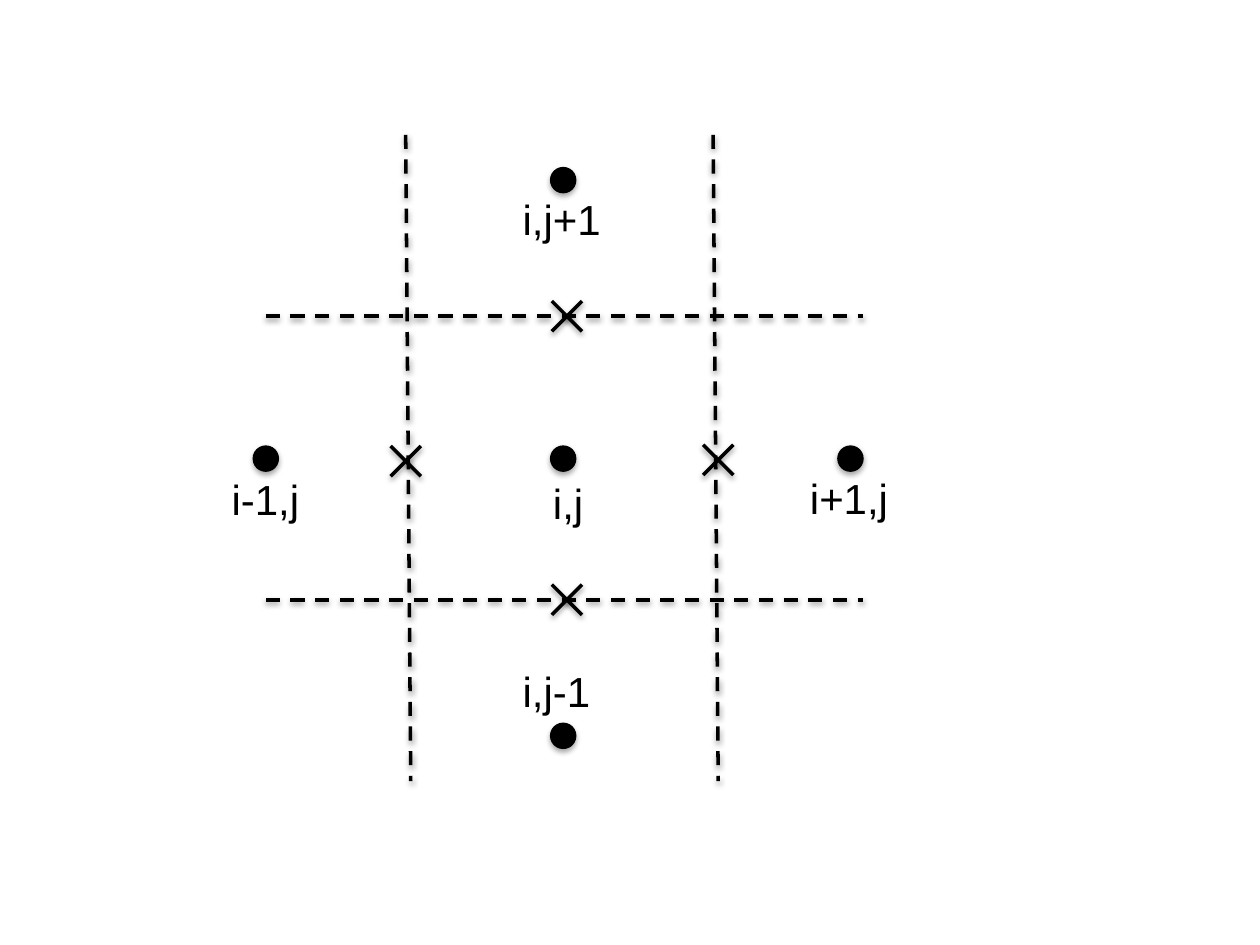
from typing import NamedTuple

from lxml.etree import SubElement
from pptx import Presentation
from pptx.dml.color import RGBColor
from pptx.enum.dml import MSO_LINE_DASH_STYLE as Dash
from pptx.enum.shapes import MSO_CONNECTOR as Connector, MSO_SHAPE as Shape
from pptx.enum.text import MSO_AUTO_SIZE as AutoSize, MSO_ANCHOR as Anchor
from pptx.oxml.ns import qn
from pptx.util import Emu, Inches, Pt

BLACK = RGBColor(0, 0, 0)
FONT = "Arial"
WIDTH, HEIGHT = 10, 7.5

# Grid of nodes: columns i-1, i, i+1 and rows j+1, j, j-1
WEST, CENTRE, EAST = 2.11, 4.47, 6.75
NORTH, MIDDLE, SOUTH = 1.43, 3.64, 5.84
# Cell faces between the nodes
LEFT_FACE, RIGHT_FACE = 3.22, 5.66
TOP_FACE, BOTTOM_FACE = 2.51, 4.76
FACE_TOP, FACE_BOTTOM, FACE_LEAN = 1.07, 6.2, 0.04
FACE_START, FACE_END = 2.11, 6.85
DOT = 0.2
CROSS = 0.24
LABEL_HEIGHT = 0.5


class Point(NamedTuple):
    """A place on the slide, in inches."""
    x: float
    y: float


class Node(NamedTuple):
    """A grid node with its label and the label's box."""
    centre: Point
    text: str
    label: Point
    label_width: float


class Face(NamedTuple):
    """A dashed cell face."""
    start: Point
    end: Point


FACES = [
    *(Face(Point(x, FACE_TOP), Point(x + FACE_LEAN, FACE_BOTTOM))
      for x in (LEFT_FACE, RIGHT_FACE)),
    *(Face(Point(FACE_START, y), Point(FACE_END, y))
      for y in (TOP_FACE, BOTTOM_FACE)),
]
NODES = [
    Node(Point(CENTRE, MIDDLE), "i,j", Point(4.29, 3.74), 0.45),
    Node(Point(EAST, MIDDLE), "i+1,j", Point(6.33, 3.7), 0.83),
    Node(Point(WEST, MIDDLE), "i-1,j", Point(1.74, 3.71), 0.74),
    Node(Point(CENTRE, NORTH), "i,j+1", Point(4.05, 1.49), 0.83),
    Node(Point(CENTRE, SOUTH), "i,j-1", Point(4.05, 5.23), 0.74),
]
CROSSES = [Point(5.7, 3.65), Point(4.5, BOTTOM_FACE),
           Point(3.22, 3.66), Point(4.5, TOP_FACE)]


def add_shadow(shape, distance: int, opacity: int) -> None:
    """Give a shape a soft black shadow straight below it."""
    effects = SubElement(shape._element.spPr, qn("a:effectLst"))
    shadow = SubElement(effects, qn("a:outerShdw"), blurRad="40000",
                        dist=str(distance), dir="5400000", rotWithShape="0")
    colour = SubElement(shadow, qn("a:srgbClr"), val=str(BLACK))
    SubElement(colour, qn("a:alpha"), val=str(opacity * 1000))


def draw_line(shapes, start: Point, end: Point, dashed: bool = False) -> None:
    """Draw a black line with a shadow."""
    line = shapes.add_connector(
        Connector.STRAIGHT, *(Inches(value) for value in (*start, *end)))
    line.line.color.rgb = BLACK
    line.line.width = Pt(2)
    if dashed:
        line.line.dash_style = Dash.DASH
    add_shadow(line, 20000, 38)


def draw_dot(shapes, centre: Point) -> None:
    """Draw the round mark of a node."""
    dot = shapes.add_shape(Shape.OVAL, Inches(centre.x - DOT / 2),
                           Inches(centre.y - DOT / 2), Inches(DOT), Inches(DOT))
    dot.fill.solid()
    dot.fill.fore_color.rgb = BLACK
    dot.line.color.rgb = BLACK
    dot.line.width = Pt(0.75)
    add_shadow(dot, 23000, 35)


def draw_cross(shapes, centre: Point) -> None:
    """Draw two grouped diagonals as the mark of a face."""
    group = shapes.add_group_shape()
    half = CROSS / 2
    for rise in (half, -half):
        draw_line(group.shapes, Point(centre.x - half, centre.y - rise),
                  Point(centre.x + half, centre.y + rise))


def draw_label(shapes, node: Node) -> None:
    """Write the indices of a node."""
    box = shapes.add_textbox(Inches(node.label.x), Inches(node.label.y),
                             Inches(node.label_width), Inches(LABEL_HEIGHT))
    frame = box.text_frame
    frame.word_wrap = False
    frame.auto_size = AutoSize.SHAPE_TO_FIT_TEXT
    frame.vertical_anchor = Anchor.TOP
    span = frame.paragraphs[0].add_run()
    span.text = node.text
    span.font.name = FONT
    span.font.size = Pt(24)
    span.font.color.rgb = BLACK


def build() -> None:
    """Build the finite-difference stencil slide."""
    deck = Presentation()
    deck.slide_width, deck.slide_height = Emu(Inches(WIDTH)), Emu(Inches(HEIGHT))
    page = deck.slides.add_slide(deck.slide_layouts.get_by_name("Blank"))
    for face in FACES:
        draw_line(page.shapes, face.start, face.end, dashed=True)
    for node in NODES:
        draw_dot(page.shapes, node.centre)
    for centre in CROSSES:
        draw_cross(page.shapes, centre)
    for node in NODES:
        draw_label(page.shapes, node)
    deck.save("out.pptx")


build()
